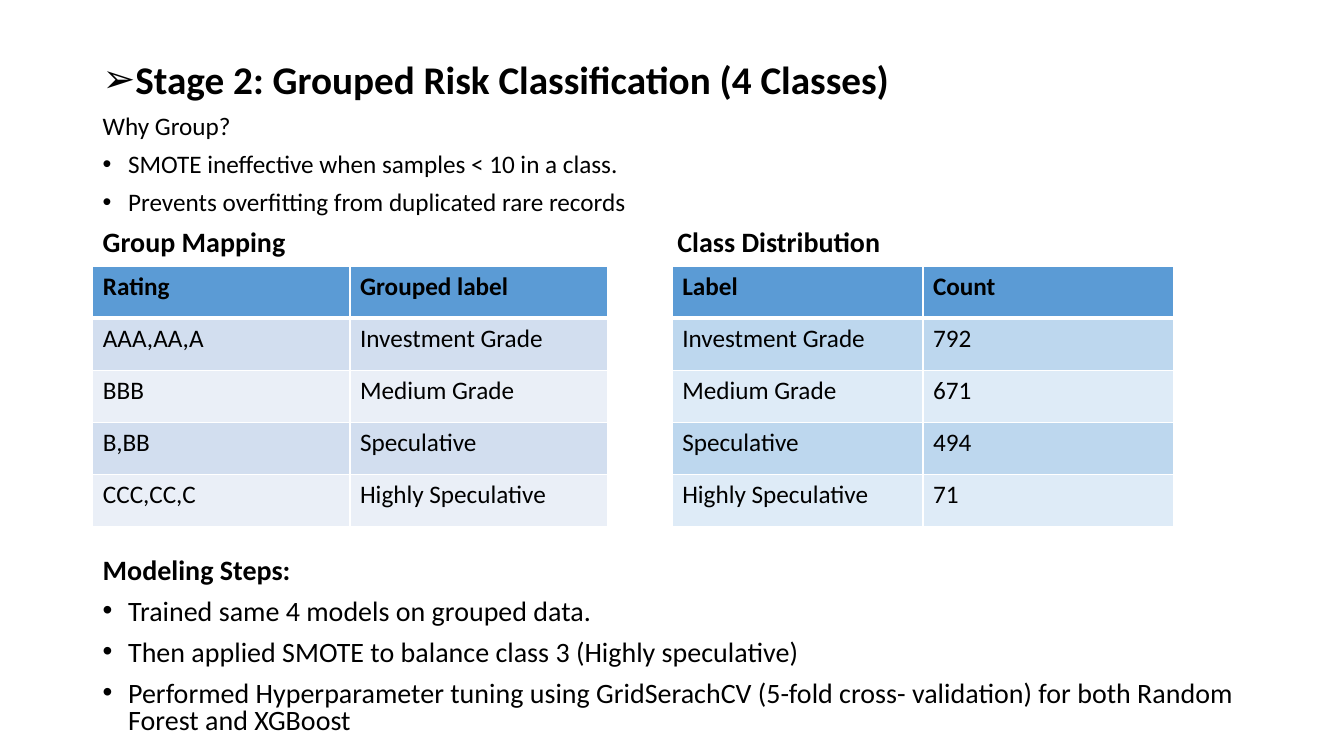
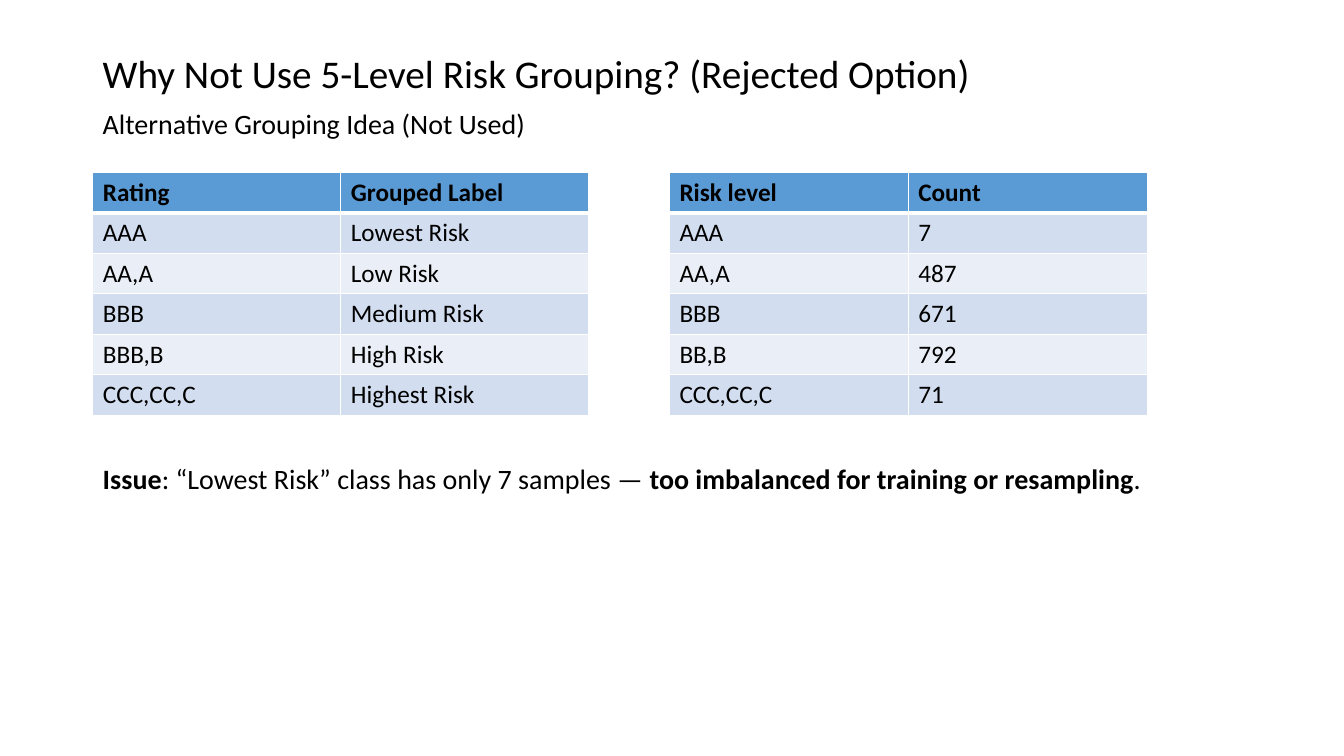
from dataclasses import dataclass

import pptx
import pptx.dml.color
import pptx.oxml
import pptx.oxml.ns
import pptx.oxml.xmlchemy
import pptx.util
from pptx.util import Cm

# Shared style
FONT = "Calibri"
BLACK, WHITE, HEADER = "000000", "FFFFFF", "5B9BD5"
GREY_BANDS = ("D2DEEF", "EAEFF7")
BLUE_BANDS = ("BDD7EE", "DEEBF7")
TITLE_SIZE, HEADING_SIZE, BODY_SIZE = 28, 20, 18
LEFT, TEXT_WIDTH = 2.34, 29.21
INDENT, RIGHT_HEADING_TAB = 0.64, 14.48


@dataclass(frozen=True)
class Piece:
    text: str
    bold: bool = False


@dataclass(frozen=True)
class Line:
    pieces: tuple[Piece, ...]
    size: int
    bullet: str = ""
    tab: float = 0


@dataclass(frozen=True)
class TextBlock:
    top: float
    height: float
    spacing: float
    lines: tuple[Line, ...]


@dataclass(frozen=True)
class Grid:
    left: float
    top: float
    column_width: float
    row_height: float
    rows: tuple[tuple[str, str], ...]
    bands: tuple[str, str] = GREY_BANDS


def line(text: str, size: int, bold: bool = False, bullet: str = "", tab: float = 0) -> Line:
    return Line((Piece(text, bold),), size, bullet, tab)


def color(value: str) -> pptx.dml.color.RGBColor:
    return pptx.dml.color.RGBColor.from_string(value)


def style_run(run, size: int, bold: bool) -> None:
    run.font.name = FONT
    run.font.size = pptx.util.Pt(size)
    run.font.bold = bold
    run.font.color.rgb = color(BLACK)


def add_child(parent, tag: str, **attributes: str):
    child = pptx.oxml.xmlchemy.OxmlElement(tag)
    for name, value in attributes.items():
        child.set(name, value)
    parent.append(child)
    return child


# Text
def add_text(slide, block: TextBlock) -> None:
    shape = slide.shapes.add_textbox(Cm(LEFT), Cm(block.top), Cm(TEXT_WIDTH), Cm(block.height))
    frame = shape.text_frame
    frame.word_wrap = True
    for index, item in enumerate(block.lines):
        paragraph = frame.add_paragraph() if index else frame.paragraphs[0]
        paragraph.line_spacing = block.spacing
        if index:
            paragraph.space_before = pptx.util.Pt(10)
        properties = paragraph._p.get_or_add_pPr()
        if item.bullet:
            properties.set("marL", str(Cm(INDENT)))
            properties.set("indent", str(-Cm(INDENT)))
            add_child(properties, "a:buFont", typeface="Arial")
            add_child(properties, "a:buChar", char=item.bullet)
        if item.tab:
            tabs = add_child(properties, "a:tabLst")
            add_child(tabs, "a:tab", pos=str(Cm(item.tab)), algn="l")
        for piece in item.pieces:
            run = paragraph.add_run()
            run.text = piece.text
            style_run(run, item.size, piece.bold)


# Tables
def add_borders(cell, top: int, bottom: int) -> None:
    properties = cell._tc.get_or_add_tcPr()
    for side, points in (("L", 1), ("R", 1), ("T", top), ("B", bottom)):
        border = add_child(properties, f"a:ln{side}", w=str(pptx.util.Pt(points)))
        add_child(add_child(border, "a:solidFill"), "a:srgbClr", val=WHITE)


def add_grid(slide, grid: Grid) -> None:
    row_count, column_count = len(grid.rows), len(grid.rows[0])
    table = slide.shapes.add_table(
        row_count, column_count, Cm(grid.left), Cm(grid.top),
        Cm(grid.column_width * column_count), Cm(grid.row_height * row_count),
    ).table
    table.horz_banding = False
    for column in table.columns:
        column.width = Cm(grid.column_width)
    for row_index, texts in enumerate(grid.rows):
        table.rows[row_index].height = Cm(grid.row_height)
        is_header = row_index == 0
        fill = HEADER if is_header else grid.bands[(row_index - 1) % 2]
        for column_index, text in enumerate(texts):
            cell = table.cell(row_index, column_index)
            add_borders(cell, top=3 if row_index == 1 else 1, bottom=3 if is_header else 1)
            cell.fill.solid()
            cell.fill.fore_color.rgb = color(fill)
            cell.text_frame.text = text
            style_run(cell.text_frame.paragraphs[0].runs[0], BODY_SIZE, is_header)


# Content
GROUPED_TEXTS = (
    TextBlock(1.5, 5.1, 0.8, (
        line("Stage 2: Grouped Risk Classification (4 Classes)", TITLE_SIZE, True, "➢"),
        line("Why Group?", BODY_SIZE),
        line("SMOTE ineffective when samples < 10 in a class.", BODY_SIZE, bullet="•"),
        line("Prevents overfitting from duplicated rare records", BODY_SIZE, bullet="•"),
        line("Group Mapping\tClass Distribution", HEADING_SIZE, True, tab=RIGHT_HEADING_TAB),
    )),
    TextBlock(13.97, 4.8, 0.8, (
        line("Modeling Steps:", HEADING_SIZE, True),
        line("Trained same 4 models on grouped data.", HEADING_SIZE, bullet="•"),
        line("Then applied SMOTE to balance class 3 (Highly speculative)", HEADING_SIZE, bullet="•"),
        line("Performed Hyperparameter tuning using GridSerachCV (5-fold cross- validation) "
             "for both Random Forest and XGBoost", HEADING_SIZE, bullet="•"),
    )),
)
GROUPED_GRIDS = (
    Grid(LEFT, 6.71, 6.48, 1.31, (
        ("Rating", "Grouped label"),
        ("AAA,AA,A", "Investment Grade"),
        ("BBB", "Medium Grade"),
        ("B,BB", "Speculative"),
        ("CCC,CC,C", "Highly Speculative"),
    )),
    Grid(16.94, 6.71, 6.32, 1.31, (
        ("Label", "Count"),
        ("Investment Grade", "792"),
        ("Medium Grade", "671"),
        ("Speculative", "494"),
        ("Highly Speculative", "71"),
    ), BLUE_BANDS),
)
REJECTED_TEXTS = (
    TextBlock(1.24, 2.5, 0.9, (
        line("Why Not Use 5-Level Risk Grouping? (Rejected Option)", TITLE_SIZE),
        line("Alternative Grouping Idea (Not Used)", HEADING_SIZE),
    )),
    TextBlock(11.61, 1.1, 0.9, (
        Line((
            Piece("Issue", True),
            Piece(": “Lowest Risk” class has only 7 samples — "),
            Piece("too imbalanced for training or resampling", True),
            Piece("."),
        ), HEADING_SIZE),
    )),
)
REJECTED_GRIDS = (
    Grid(LEFT, 4.34, 6.25, 1.02, (
        ("Rating", "Grouped Label"),
        ("AAA", "Lowest Risk"),
        ("AA,A", "Low Risk"),
        ("BBB", "Medium Risk"),
        ("BBB,B", "High Risk"),
        ("CCC,CC,C", "Highest Risk"),
    )),
    Grid(16.87, 4.34, 6.02, 1.02, (
        ("Risk level", "Count"),
        ("AAA", "7"),
        ("AA,A", "487"),
        ("BBB", "671"),
        ("BB,B", "792"),
        ("CCC,CC,C", "71"),
    )),
)


def main() -> None:
    presentation = pptx.Presentation()
    presentation.slide_width, presentation.slide_height = Cm(33.87), Cm(19.05)
    for texts, grids in ((GROUPED_TEXTS, GROUPED_GRIDS), (REJECTED_TEXTS, REJECTED_GRIDS)):
        slide = presentation.slides.add_slide(presentation.slide_layouts[6])
        for block in texts:
            add_text(slide, block)
        for grid in grids:
            add_grid(slide, grid)
    presentation.save("out.pptx")


if __name__ == "__main__":
    main()
